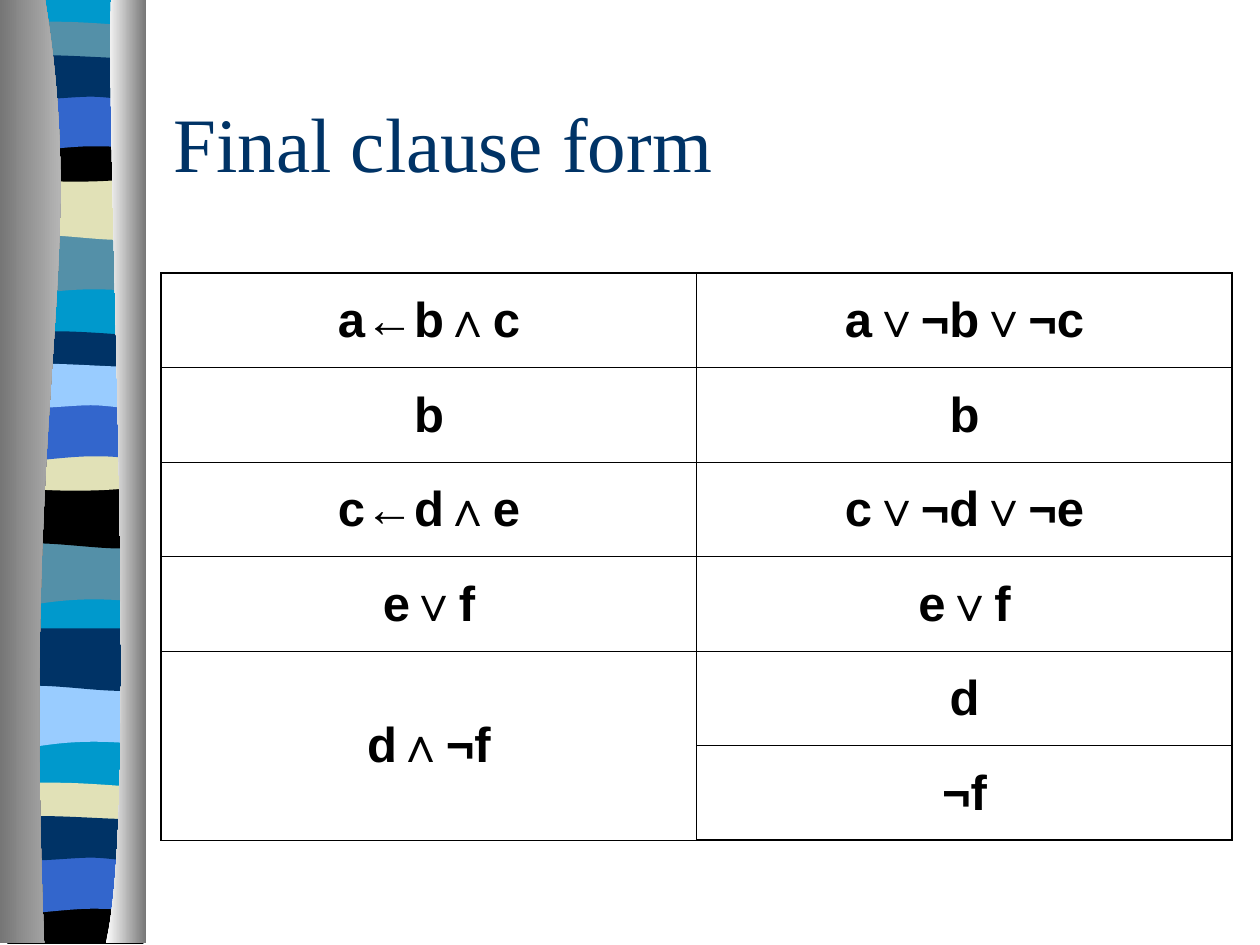
from lxml.etree import SubElement
from pptx import Presentation
from pptx.dml.color import RGBColor
from pptx.enum.shapes import MSO_SHAPE
from pptx.enum.text import MSO_ANCHOR as Anchor, PP_ALIGN as Align
from pptx.oxml.ns import qn
from pptx.util import Cm, Pt

BLACK = RGBColor(0x00, 0x00, 0x00)
WHITE = RGBColor(0xFF, 0xFF, 0xFF)
GREY = RGBColor(0x76, 0x76, 0x76)
SILVER = RGBColor(0xD3, 0xD3, 0xD3)
NAVY = RGBColor(0x00, 0x33, 0x66)
CYAN = RGBColor(0x00, 0x99, 0xCC)
TEAL = RGBColor(0x54, 0x90, 0xA8)
SAND = RGBColor(0xE1, 0xE1, 0xB7)
BLUE = RGBColor(0x33, 0x66, 0xCC)
SKY = RGBColor(0x99, 0xCC, 0xFF)

# Outlines in cm: two numbers are a corner, six are a Bezier curve
SAG = [(2.74, 0), (2.74, 1.19), (0.84, 0.99, 0.46, 1.4, 0, 1.19), (0, 0)]
SWELL = [(2.74, 0), (2.74, 1.19), (2.29, 1.4, 0.84, 1.04, 0, 1.19), (0, 0)]
ARCH = [(2.74, 0), (2.74, 1.19), (2.31, 1.07, 2.13, 1.07, 1.68, 1.07),
        (1.22, 1.07, 0.41, 1.19, 0, 1.19), (0, 0)]
RIBBON = [(2.74, 0.13), (2.74, 0.74), (2.29, 0.84, 0.46, 0.84, 0, 0.74), (0, 0.13),
          (0.15, 0, 0.58, 0.03, 1.04, 0.03), (1.5, 0.03, 2.39, 0.1, 2.74, 0.13)]
BOWL = [(2.74, 0), (2.74, 0.81), (2.29, 0.96, 0.46, 0.96, 0, 0.81), (0, 0),
        (1.68, 0.13, 2.16, 0, 2.74, 0)]
FOOT = [(2.74, 0), (2.74, 0.95), (0, 0.95), (0, 0), (1.68, 0.13, 2.16, 0, 2.74, 0)]
WAVE = [(2.74, 0.13), (2.74, 0.91), (2.57, 1.04, 2.13, 0.91, 1.68, 0.91),
        (1.22, 0.91, 0.28, 1.04, 0, 0.91), (0, 0.13),
        (0.38, 0, 1.85, 0.13, 2.31, 0.13)]
LEFT_PILLAR = [(0.91, 0), (1.8, 5.49, 0.43, 7.52, 0.89, 19.02), (0, 19.02), (0, 0)]
RIGHT_PILLAR = [(2.24, 0), (2.13, 3.18, 2.82, 16.41, 2.13, 19.02), (2.95, 19.02), (2.95, 0)]

# Outline, top in cm and colour, from back to front
STRIPES = [
    (SAG, 4.7, TEAL), (SWELL, 3.58, SAND), (RIBBON, 0.41, TEAL),
    (BOWL, 2.74, BLACK), (ARCH, 1.88, BLUE), (WAVE, 1.04, NAVY),
    (SAG, 10.95, TEAL), (SWELL, 9.8, BLACK), (RIBBON, 6.65, NAVY),
    (BOWL, 8.97, SAND), (ARCH, 8.13, BLUE), (WAVE, 7.26, SKY),
    (SAG, 13.82, SKY), (SWELL, 12.67, NAVY), (RIBBON, 15.75, SAND),
    (FOOT, 18.08, BLACK), (ARCH, 17.25, BLUE), (WAVE, 16.38, NAVY),
]

CLAUSES = [
    ("a←b∧c", "a∨¬b∨¬c"),
    ("b", "b"),
    ("c←d∧e", "c∨¬d∨¬e"),
    ("e∨f", "e∨f"),
    ("d∧¬f", "d"),
    ("", "¬f"),
]


def add_outline(slide, outline, left, top):
    points = [(Cm(left + part[i]), Cm(top + part[i + 1]))
              for part in outline for i in range(0, len(part), 2)]
    builder = slide.shapes.build_freeform(*points[0])
    builder.add_line_segments(points[1:], close=True)
    shape = builder.convert_to_shape()
    shape.shadow.inherit = False
    shape.line.fill.background()

    # Join each run of three segments that describes a curve
    segments = iter(list(shape._element.iter(qn("a:lnTo"))))
    for part in outline[1:]:
        first = next(segments)
        if len(part) == 6:
            first.tag = qn("a:cubicBezTo")
            for _ in range(2):
                extra = next(segments)
                first.append(extra[0])
                extra.getparent().remove(extra)
    return shape


def add_side_band(slide, left, top, height):
    # Coloured stripes over a cyan base
    inset = 0.15
    base = slide.shapes.add_shape(
        MSO_SHAPE.RECTANGLE, Cm(left + inset), Cm(top), Cm(2.74), Cm(height))
    base.shadow.inherit = False
    base.fill.solid()
    base.fill.fore_color.rgb = CYAN
    base.line.fill.background()
    for outline, offset, colour in STRIPES:
        stripe = add_outline(slide, outline, left + inset, top + offset)
        stripe.fill.solid()
        stripe.fill.fore_color.rgb = colour

    # Shaded pillars on both sides
    for outline, colours in ((LEFT_PILLAR, (GREY, SILVER)), (RIGHT_PILLAR, (WHITE, GREY))):
        pillar = add_outline(slide, outline, left, top)
        pillar.fill.gradient()
        pillar.fill.gradient_angle = 0
        for stop, colour in zip(pillar.fill.gradient_stops, colours):
            stop.color.rgb = colour


def format_text(para, size, name, colour, bold=False):
    for span in para.runs:
        span.font.size = Pt(size)
        span.font.name = name
        span.font.bold = bold
        span.font.color.rgb = colour


def add_title(slide, left, top, width, height):
    box = slide.shapes.add_textbox(Cm(left), Cm(top), Cm(width), Cm(height))
    frame = box.text_frame
    frame.word_wrap = True
    frame.vertical_anchor = Anchor.MIDDLE
    frame.text = "Final clause form"
    format_text(frame.paragraphs[0], 44, "Times New Roman", NAVY)


def set_borders(cell, widths):
    properties = cell._tc.get_or_add_tcPr()
    for index, (side, width) in enumerate(widths.items()):
        line = SubElement(properties, qn(f"a:ln{side}"), w=str(int(Pt(width))))
        fill = SubElement(line, qn("a:solidFill"))
        SubElement(fill, qn("a:srgbClr"), val=str(BLACK))
        properties.insert(index, line)


def add_clause_table(slide, left, top, width, height):
    rows, columns = len(CLAUSES), len(CLAUSES[0])
    table = slide.shapes.add_table(
        rows, columns, Cm(left), Cm(top), Cm(width), Cm(height)).table
    table.first_row = table.horz_banding = False
    outer, inner = 1.08, 0.45
    for r, clauses in enumerate(CLAUSES):
        for c, clause in enumerate(clauses):
            cell = table.cell(r, c)
            cell.fill.background()
            cell.vertical_anchor = Anchor.MIDDLE
            set_borders(cell, {
                "L": outer if c == 0 else inner,
                "R": outer if c == columns - 1 else inner,
                "T": outer if r == 0 else inner,
                "B": outer if r == rows - 1 else inner,
            })
            if clause:
                para = cell.text_frame.paragraphs[0]
                para.text = clause
                para.alignment = Align.CENTER
                format_text(para, 28, "Arial", BLACK, bold=True)
    # The last formula yields two clauses
    table.cell(rows - 2, 0).merge(table.cell(rows - 1, 0))


def main():
    deck = Presentation()
    deck.slide_width, deck.slide_height = Cm(25.4), Cm(19.05)
    page = deck.slides.add_slide(deck.slide_layouts[6])
    add_side_band(page, 0, 0, 19.02)
    add_title(page, 3.25, 1.27, 21.59, 3.18)
    add_clause_table(page, 3.25, 5.51, 21.59, 11.43)
    deck.save("out.pptx")


if __name__ == "__main__":
    main()
